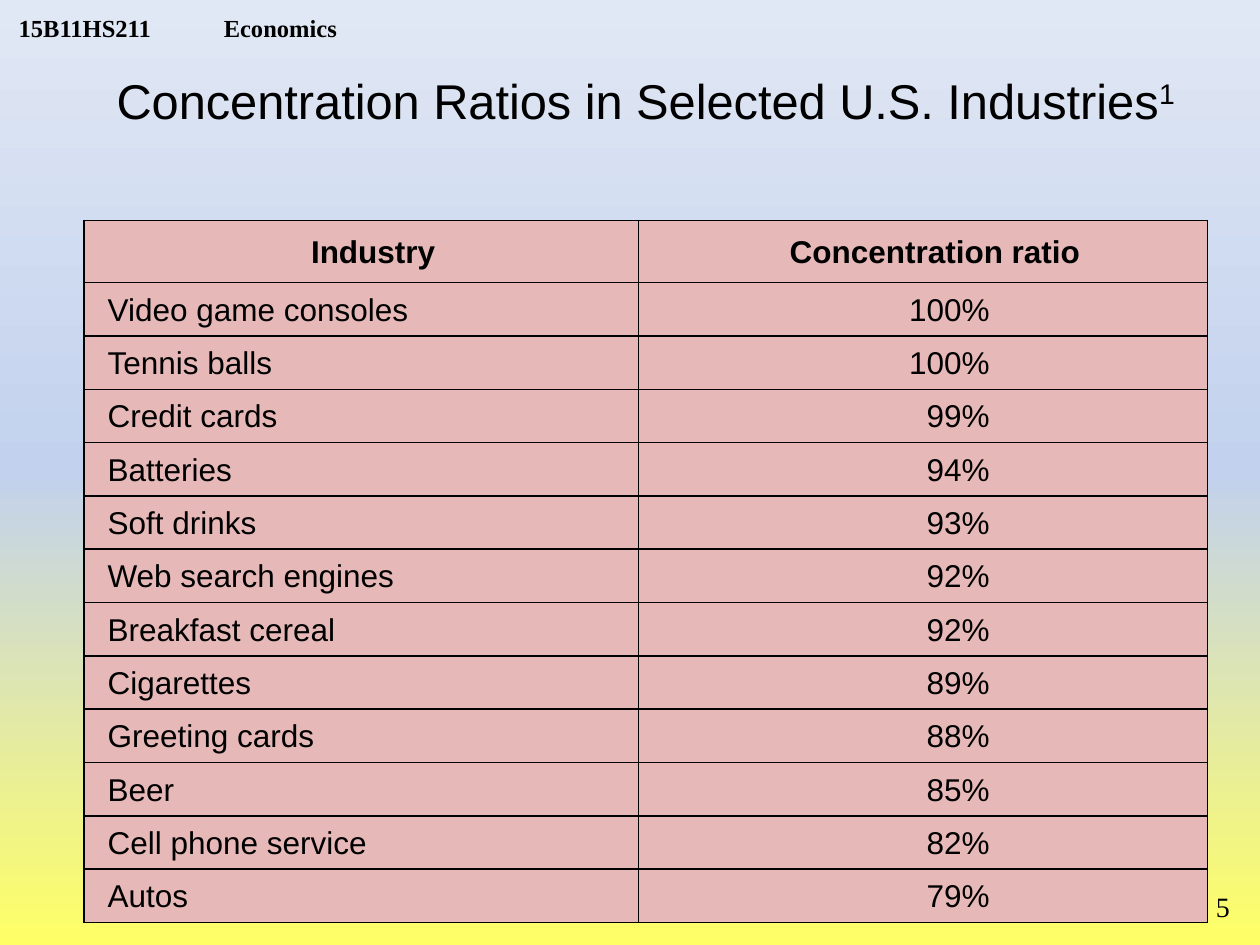
from copy import deepcopy

from pptx import Presentation
from pptx import util as u
from pptx.dml.color import RGBColor
from pptx.enum import text as t
from pptx.oxml import parse_xml
from pptx.oxml.ns import nsdecls

BLACK, ROSE = "000000", "E6B9B8"
GRADIENT = [(0, "FFFF66"), (0.5, "C2D1ED"), (1, "E1E8F5")]
RATIOS = [
    ("Video game consoles", 100), ("Tennis balls", 100), ("Credit cards", 99),
    ("Batteries", 94), ("Soft drinks", 93), ("Web search engines", 92),
    ("Breakfast cereal", 92), ("Cigarettes", 89), ("Greeting cards", 88),
    ("Beer", 85), ("Cell phone service", 82), ("Autos", 79),
]
LEFT, CENTER, RIGHT = t.PP_ALIGN.LEFT, t.PP_ALIGN.CENTER, t.PP_ALIGN.RIGHT
MIDDLE = t.MSO_ANCHOR.MIDDLE


def color(hex_code):
    return RGBColor.from_string(hex_code)


def write(para, text, size=18, font="Arial", bold=False, align=LEFT, raised=False):
    """Add one formatted run to a paragraph."""
    para.alignment = align
    span = para.add_run()
    span.text = text
    span.font.size, span.font.name, span.font.bold = u.Pt(size), font, bold
    span.font.color.rgb = color(BLACK)
    if raised:
        span.font._element.set("baseline", "30000")


class SlideBuilder:
    serif = "Times New Roman"

    def __init__(self, deck):
        self.page = deck.slides.add_slide(deck.slide_layouts[5])

    def background(self, stops):
        fill = self.page.background.fill
        fill.gradient()
        fill.gradient_angle = 90
        stop_list = self.page._element.xpath(".//a:gsLst")[0]
        stop_list.append(deepcopy(stop_list[0]))
        for stop, (position, hex_code) in zip(fill.gradient_stops, stops):
            stop.position = position
            stop.color.rgb = color(hex_code)

    def title(self, text, note, left, top, width, height):
        box = self.page.shapes.title
        box.left, box.top = u.Pt(left), u.Pt(top)
        box.width, box.height = u.Pt(width), u.Pt(height)
        box.text_frame.vertical_anchor = MIDDLE
        para = box.text_frame.paragraphs[0]
        write(para, text, size=27.9, align=CENTER)
        write(para, note, size=27.9, align=CENTER, raised=True)

    def label(self, text, left, top, width, height, inset=3.6,
              anchor=t.MSO_ANCHOR.TOP, tab=None, **style):
        box = self.page.shapes.add_textbox(*map(u.Pt, (left, top, width, height)))
        frame = box.text_frame
        frame.word_wrap = True
        frame.vertical_anchor = anchor
        frame.margin_top = frame.margin_bottom = u.Pt(inset)
        para = frame.paragraphs[0]
        if tab:
            para._p.get_or_add_pPr().append(parse_xml(
                f'<a:tabLst {nsdecls("a")}><a:tab pos="{u.Pt(tab)}" algn="l"/></a:tabLst>'))
        write(para, text, font=self.serif, **style)

    def cell(self, cell, text, right_inset=0, **style):
        cell.vertical_anchor = MIDDLE
        cell.margin_left, cell.margin_right = u.Pt(13.5), u.Pt(right_inset)
        cell.margin_top = cell.margin_bottom = 0
        # Borders come before the fill in the cell properties
        properties = cell._tc.get_or_add_tcPr()
        for side in "LRTB":
            properties.append(parse_xml(
                f'<a:ln{side} {nsdecls("a")} w="{u.Pt(1)}"><a:solidFill>'
                f'<a:srgbClr val="{BLACK}"/></a:solidFill></a:ln{side}>'))
        cell.fill.solid()
        cell.fill.fore_color.rgb = color(ROSE)
        para = cell.text_frame.paragraphs[0]
        para.line_spacing = 1.05
        write(para, text, **style)

    def table(self, headings, rows, left, top, widths, head_height, row_height):
        height = head_height + row_height * len(rows)
        table = self.page.shapes.add_table(
            len(rows) + 1, len(widths),
            *map(u.Pt, (left, top, sum(widths), height))).table
        table.first_row = table.horz_banding = False
        for column, width in zip(table.columns, widths):
            column.width = u.Pt(width)
        for index, row in enumerate(table.rows):
            row.height = u.Pt(row_height if index else head_height)
        for index, heading in enumerate(headings):
            self.cell(table.cell(0, index), heading, bold=True, align=CENTER)
        for index, (industry, ratio) in enumerate(rows, start=1):
            self.cell(table.cell(index, 0), industry)
            self.cell(table.cell(index, 1), f"{ratio}%", right_inset=124.5, align=RIGHT)


def main():
    deck = Presentation()
    deck.slide_width, deck.slide_height = u.Pt(720), u.Pt(540)
    builder = SlideBuilder(deck)
    builder.background(GRADIENT)

    # Course header
    builder.label("15B11HS211\tEconomics", 3.6, 0, 230.4, 24, inset=0,
                  anchor=t.MSO_ANCHOR.BOTTOM, tab=117.2, size=14, bold=True)

    # Title and table
    builder.title("Concentration Ratios in Selected U.S. Industries", "1",
                  48, 18, 642, 78)
    builder.table(("Industry", "Concentration ratio"), RATIOS,
                  48, 126, (317, 325), 35.5, 30.5)

    # Page number
    builder.label("5", 681, 505, 28.8, 28.8, size=16, align=RIGHT)
    deck.save("out.pptx")


if __name__ == "__main__":
    main()
